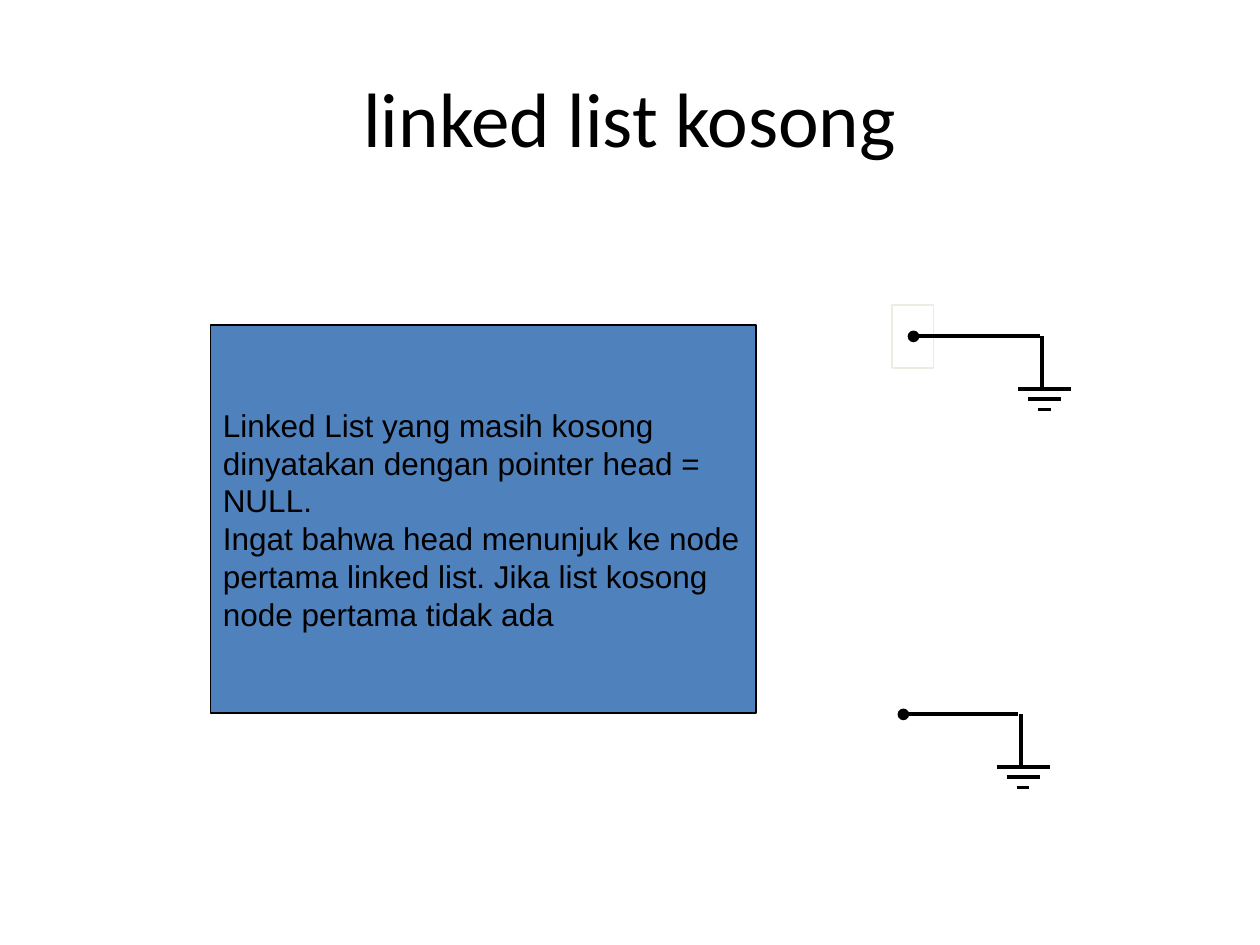
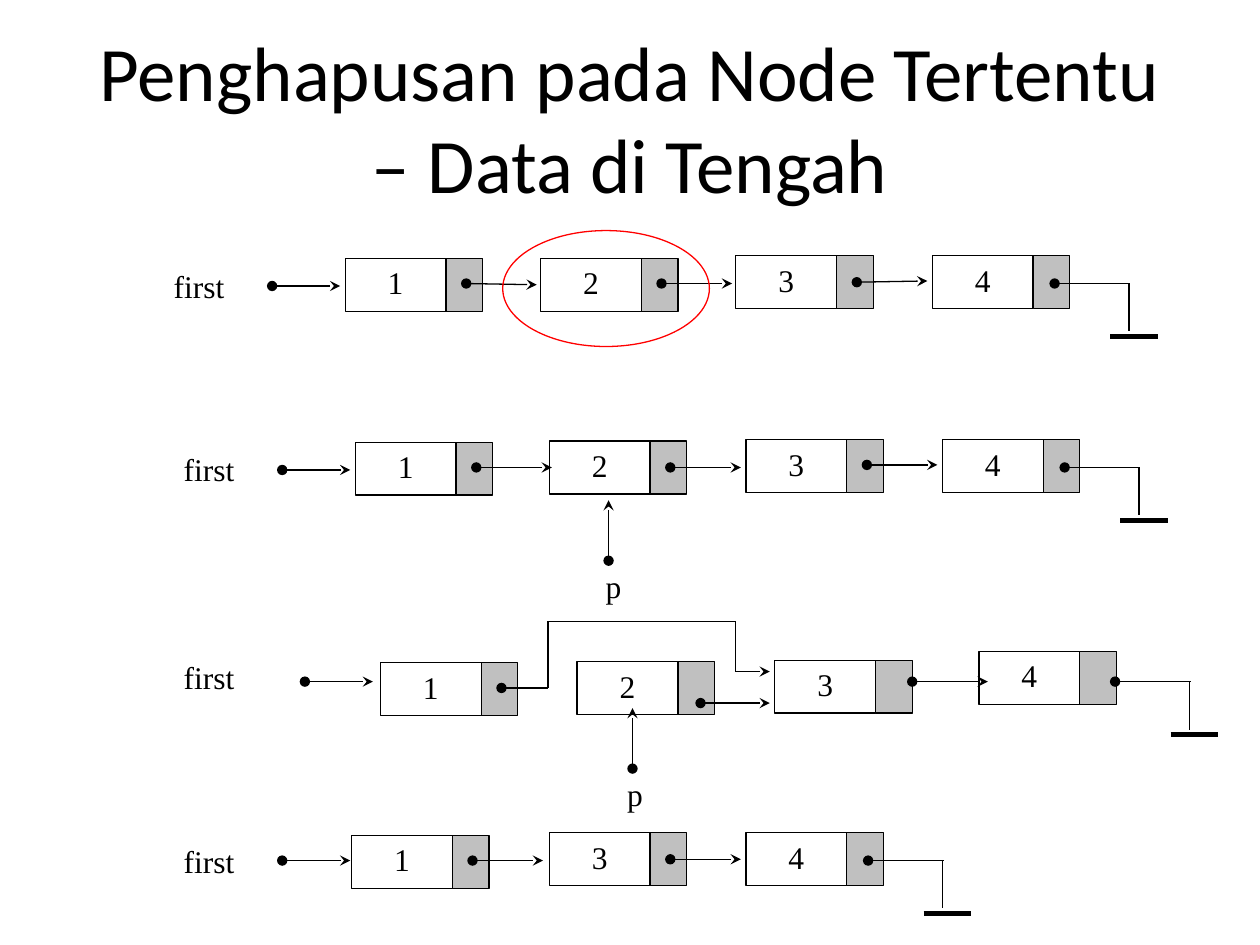
from lxml import etree
from pptx import Presentation
from pptx.dml.color import RGBColor
from pptx.enum import shapes, text
from pptx.oxml import ns
from pptx.util import Inches, Pt

BLACK, WHITE, GRAY = "000000", "FFFFFF", "C0C0C0"
BLUE, CREAM, RED = "4F81BD", "EEECE1", "FF0000"
SERIF = "Times New Roman"

# Content: empty list
EMPTY_TITLE = "linked list kosong"
EMPTY_TEXT = [
    "Linked List yang masih kosong dinyatakan dengan pointer head = NULL.",
    "Ingat bahwa head menunjuk ke node pertama linked list. "
    "Jika list kosong node pertama tidak ada",
]
HEAD_BOX = (7.08, 2.42, 0.33, 0.5)
# (wire start, wire end, drop x, y)
EMPTY_HEADS = [(7.25, 8.25, 8.27, 2.67), (7.17, 8.08, 8.1, 5.67)]

# Content: deletion steps
DELETE_TITLE = "Penghapusan pada Node Tertentu – Data di Tengah"
# nodes: (value, x, y); arrows: (x1, y1, x2, y2); null: start of the last wire
STEPS = [
    dict(labels=[("first", 1, 2.07)],
         nodes=[("1", 2.74, 2.05), ("2", 4.29, 2.05),
                ("3", 5.84, 2.03), ("4", 7.4, 2.03)],
         arrows=[(2.16, 2.27, 2.7, 2.27), (3.7, 2.25, 4.26, 2.26),
                 (5.25, 2.25, 5.81, 2.25), (6.8, 2.24, 7.36, 2.23)],
         null=(8.37, 2.25)),
    dict(labels=[("first", 1.08, 3.52), ("p", 4.29, 4.45)],
         nodes=[("1", 2.82, 3.51), ("2", 4.36, 3.5),
                ("3", 5.92, 3.49), ("4", 7.48, 3.49)],
         arrows=[(2.24, 3.73, 2.78, 3.73), (3.78, 3.71, 4.38, 3.71),
                 (5.32, 3.71, 5.88, 3.71), (6.88, 3.69, 7.44, 3.69),
                 (4.83, 4.45, 4.83, 3.97)],
         null=(8.45, 3.71)),
    dict(labels=[("first", 1.08, 5.17), ("p", 4.46, 6.1)],
         nodes=[("1", 3.02, 5.26), ("2", 4.58, 5.25),
                ("3", 6.15, 5.24), ("4", 7.77, 5.17)],
         arrows=[(2.42, 5.41, 2.96, 5.41), (5.56, 5.58, 6.11, 5.58),
                 (7.24, 5.41, 7.84, 5.41), (5.02, 6.1, 5.02, 5.62)],
         null=(8.85, 5.41)),
    dict(labels=[("first", 1.08, 6.63)],
         nodes=[("1", 2.79, 6.63), ("3", 4.36, 6.61), ("4", 5.92, 6.61)],
         arrows=[(2.24, 6.83, 2.78, 6.83), (3.75, 6.83, 4.31, 6.83),
                 (5.32, 6.82, 5.88, 6.82)],
         null=(6.89, 6.83)),
]
DELETED_RING = (3.99, 1.83, 1.64, 0.92)
BYPASS = [(3.98, 5.46), (4.35, 5.46), (4.35, 4.93),
          (5.84, 4.93), (5.84, 5.33), (6.11, 5.33)]


def rgb(color):
    return RGBColor.from_string(color)


def write(sp, lines, size, font, align, anchor, inset=None):
    tf = sp.text_frame
    tf.word_wrap = True
    tf.vertical_anchor = anchor
    if inset is not None:
        tf.margin_left = tf.margin_right = Inches(inset)
        tf.margin_top = tf.margin_bottom = Inches(inset)
    for i, line in enumerate(lines):
        p = tf.add_paragraph() if i else tf.paragraphs[0]
        p.alignment = align
        r = p.add_run()
        r.text = line
        r.font.size, r.font.name = Pt(size), font
        r.font.color.rgb = rgb(BLACK)


def add_box(s, at, fill=None, line=None, width=0.75,
            kind=shapes.MSO_SHAPE.RECTANGLE):
    sp = s.shapes.add_shape(kind, *map(Inches, at))
    sp.shadow.inherit = False
    if fill:
        sp.fill.solid()
        sp.fill.fore_color.rgb = rgb(fill)
    else:
        sp.fill.background()
    if line:
        sp.line.color.rgb = rgb(line)
        sp.line.width = Pt(width)
    else:
        sp.line.fill.background()
    return sp


def add_line(s, x1, y1, x2, y2, width=0.75, head=None, tail=None):
    cn = s.shapes.add_connector(shapes.MSO_CONNECTOR.STRAIGHT,
                                *map(Inches, (x1, y1, x2, y2)))
    cn.line.color.rgb = rgb(BLACK)
    cn.line.width = Pt(width)
    ln = cn.line._get_or_add_ln()
    for tag, end in (("a:headEnd", head), ("a:tailEnd", tail)):
        if end:
            etree.SubElement(ln, ns.qn(tag), type=end)
    etree.SubElement(cn._element.spPr, ns.qn("a:effectLst"))


def add_slide(prs, title):
    s = prs.slides.add_slide(prs.slide_layouts[6])
    sp = s.shapes.add_textbox(*map(Inches, (0.5, 0.3, 9, 1.25)))
    write(sp, [title], 44, "Calibri", text.PP_ALIGN.CENTER,
          text.MSO_ANCHOR.MIDDLE)
    return s


def add_label(s, label, x, y):
    sp = add_box(s, (x, y, 1.16, 0.5), WHITE)
    write(sp, [label], 18, SERIF, text.PP_ALIGN.CENTER, text.MSO_ANCHOR.TOP)


def add_node(s, value, x, y):
    data = add_box(s, (x, y, 0.8, 0.42), WHITE, BLACK)
    write(data, [value], 18, SERIF, text.PP_ALIGN.CENTER,
          text.MSO_ANCHOR.TOP, 0.04)
    add_box(s, (x + 0.8, y, 0.29, 0.42), GRAY, BLACK)


def add_null(s, x, y):
    add_line(s, x, y, x + 0.6, y, head="oval")
    add_line(s, x + 0.59, y, x + 0.59, y + 0.38)
    add_line(s, x + 0.44, y + 0.42, x + 0.82, y + 0.42, 3)


def add_ground(s, start, end, drop, y):
    add_line(s, start, y, end, y, 2.25, head="oval")
    add_line(s, drop, y, drop, y + 0.42, 2.25)
    # Three bars, each shorter and lower than the one before
    for i in range(3):
        step = 0.08 * i
        bar_y = y + 0.42 + step
        add_line(s, drop - 0.19 + step, bar_y, drop + 0.23 - step, bar_y, 2.25)


def build_empty_list(prs):
    s = add_slide(prs, EMPTY_TITLE)
    add_box(s, HEAD_BOX, WHITE, CREAM, 1)
    note = add_box(s, (1.67, 2.58, 4.33, 3.08), BLUE, BLACK, 1)
    write(note, EMPTY_TEXT, 18, "Arial", text.PP_ALIGN.LEFT,
          text.MSO_ANCHOR.MIDDLE)
    for head in EMPTY_HEADS:
        add_ground(s, *head)


def build_deletion(prs):
    s = add_slide(prs, DELETE_TITLE)
    for step in STEPS:
        for label in step["labels"]:
            add_label(s, *label)
        for node in step["nodes"]:
            add_node(s, *node)
        for arrow in step["arrows"]:
            add_line(s, *arrow, head="oval", tail="stealth")
        add_null(s, *step["null"])
    add_box(s, DELETED_RING, line=RED, kind=shapes.MSO_SHAPE.OVAL)

    # Link from node 1 around the removed node to node 3
    last = len(BYPASS) - 2
    for i, (a, b) in enumerate(zip(BYPASS, BYPASS[1:])):
        add_line(s, *a, *b, head="oval" if i == 0 else None,
                 tail="stealth" if i == last else None)


def main():
    prs = Presentation()
    prs.slide_width, prs.slide_height = Inches(10), Inches(7.5)
    build_empty_list(prs)
    build_deletion(prs)
    prs.save("out.pptx")


if __name__ == "__main__":
    main()
